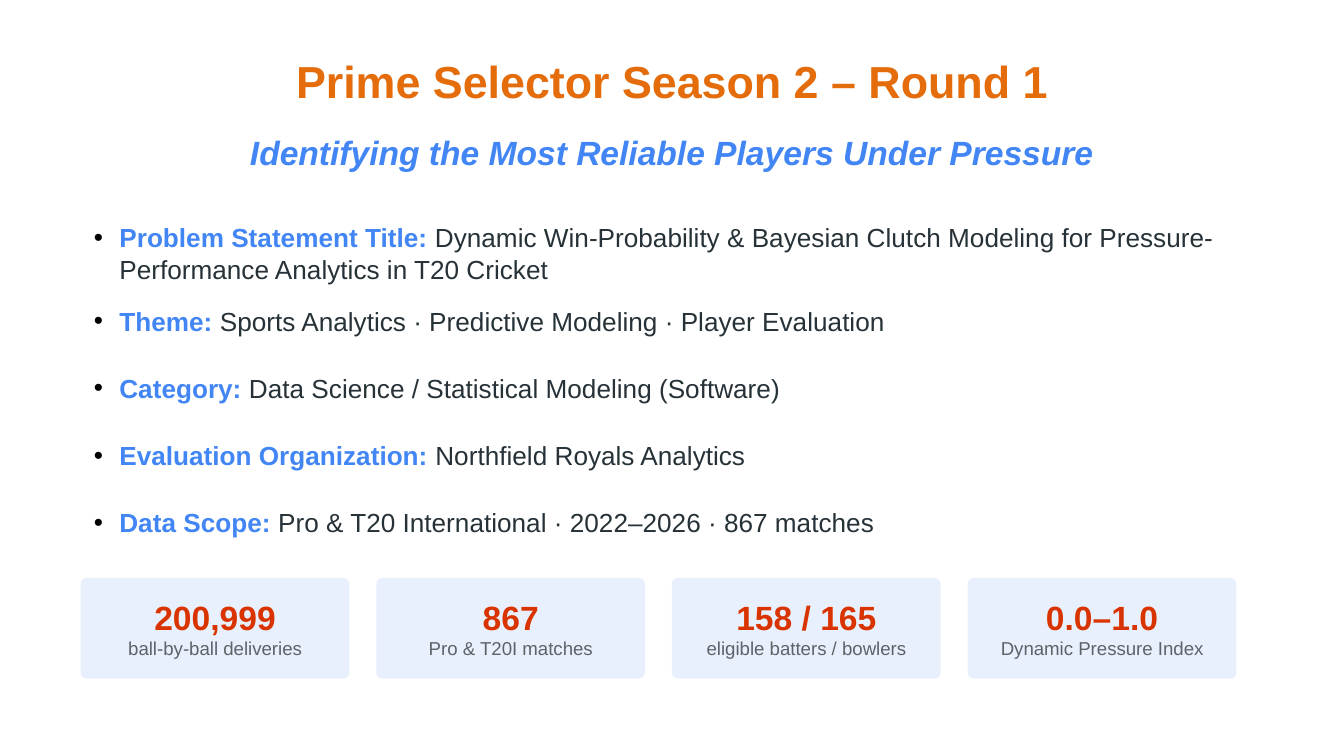
from pptx import Presentation
from pptx.dml.color import RGBColor
from pptx.enum.shapes import MSO_SHAPE
from pptx.enum.text import MSO_ANCHOR, MSO_AUTO_SIZE, PP_ALIGN
from pptx.oxml import parse_xml
from pptx.oxml.ns import nsdecls
from pptx.util import Inches, Pt

ROUNDED = MSO_SHAPE.ROUNDED_RECTANGLE
TOP, MIDDLE = MSO_ANCHOR.TOP, MSO_ANCHOR.MIDDLE
GROW = MSO_AUTO_SIZE.SHAPE_TO_FIT_TEXT
CENTER = PP_ALIGN.CENTER

COLORS = {
    "title": "E46C0A", "accent": "4285F4", "body": "263238",
    "bullet": "000000", "card": "E8F0FE", "figure": "D93400", "caption": "5F6368",
}
FORMATS = {
    "title": {"size": Pt(24), "bold": True},
    "subtitle": {"size": Pt(18), "bold": True, "italic": True},
    "label": {"size": Pt(14), "bold": True},
    "body": {"size": Pt(14), "bold": False},
    "figure": {"size": Pt(18), "bold": True},
    "caption": {"size": Pt(10), "bold": False},
}


def add_run(paragraph, text, style, color):
    run = paragraph.add_run()
    run.text = text
    run.font.name = "Arial"
    run.font.color.rgb = RGBColor.from_string(COLORS[color])
    for name, value in FORMATS[style].items():
        setattr(run.font, name, value)


def add_text_frame(left, top, width, height, margins=(0.1, 0.05), anchor=TOP):
    """Add a wrapping text box; margins are (sides, top and bottom) in inches."""
    box = slide.shapes.add_textbox(
        Inches(left), Inches(top), Inches(width), Inches(height))
    frame = box.text_frame
    frame.word_wrap = True
    frame.auto_size = GROW
    frame.vertical_anchor = anchor
    frame.margin_left = frame.margin_right = Inches(margins[0])
    frame.margin_top = frame.margin_bottom = Inches(margins[1])
    return frame


presentation = Presentation()
presentation.slide_width = Inches(10)
presentation.slide_height = Inches(10) * 9 // 16
slide = presentation.slides.add_slide(presentation.slide_layouts[5])

# Title and subtitle
title = slide.shapes.title
title.left, title.top = Inches(0.5), Inches(0.3)
title.width, title.height = Inches(9), Inches(0.6)
frame = title.text_frame
frame.vertical_anchor = MIDDLE
for side in ("left", "right", "top", "bottom"):
    setattr(frame, f"margin_{side}", Inches(0.1))
paragraph = frame.paragraphs[0]
paragraph.alignment = CENTER
add_run(paragraph, "Prime Selector Season 2 – Round 1", "title", "title")

paragraph = add_text_frame(0.5, 0.95, 9, 0.45, (0.05, 0.03)).paragraphs[0]
paragraph.alignment = CENTER
paragraph.space_after = Pt(4)
add_run(paragraph, "Identifying the Most Reliable Players Under Pressure",
        "subtitle", "accent")

# Project facts: the first takes two lines, the rest follow at an even pitch
facts = [
    ("Problem Statement Title: ",
     "Dynamic Win-Probability & Bayesian Clutch Modeling for "
     "Pressure-Performance Analytics in T20 Cricket"),
    ("Theme: ", "Sports Analytics · Predictive Modeling · Player Evaluation"),
    ("Category: ", "Data Science / Statistical Modeling (Software)"),
    ("Evaluation Organization: ", "Northfield Royals Analytics"),
    ("Data Scope: ", "Pro & T20 International · 2022–2026 · 867 matches"),
]
for index, (label, detail) in enumerate(facts):
    top = 1.6 if index == 0 else 2.22 + 0.5 * (index - 1)
    paragraph = add_text_frame(0.6, top, 8.8, 0.5).paragraphs[0]
    properties = paragraph._p.get_or_add_pPr()
    properties.set("marL", str(Inches(0.19)))
    properties.set("indent", str(-Inches(0.19)))
    for element in (
        f'<a:buClr {nsdecls("a")}><a:srgbClr val="{COLORS["bullet"]}"/></a:buClr>',
        f'<a:buFont {nsdecls("a")} typeface="Arial"/>',
        f'<a:buChar {nsdecls("a")} char="•"/>',
    ):
        properties.append(parse_xml(element))
    paragraph.font.size = FORMATS["body"]["size"]
    add_run(paragraph, label, "label", "accent")
    add_run(paragraph, detail, "body", "body")

# Key figures
stats = [
    ("200,999", "ball-by-ball deliveries"),
    ("867", "Pro & T20I matches"),
    ("158 / 165", "eligible batters / bowlers"),
    ("0.0–1.0", "Dynamic Pressure Index"),
]
card_top, card_width, card_height, card_gap = 4.3, 2, 0.75, 0.2
for index, (figure, caption) in enumerate(stats):
    left = 0.6 + index * (card_width + card_gap)
    card = slide.shapes.add_shape(
        ROUNDED, Inches(left), Inches(card_top), Inches(card_width), Inches(card_height))
    card.adjustments[0] = 0.06
    card.shadow.inherit = False
    card.fill.solid()
    card.fill.fore_color.rgb = RGBColor.from_string(COLORS["card"])
    card.line.fill.background()

    frame = add_text_frame(left, card_top, card_width, card_height, (0.05, 0.03), MIDDLE)
    figure_paragraph, caption_paragraph = frame.paragraphs[0], frame.add_paragraph()
    figure_paragraph.alignment = caption_paragraph.alignment = CENTER
    caption_paragraph.space_after = Pt(4)
    add_run(figure_paragraph, figure, "figure", "figure")
    add_run(caption_paragraph, caption, "caption", "caption")

presentation.save("out.pptx")
